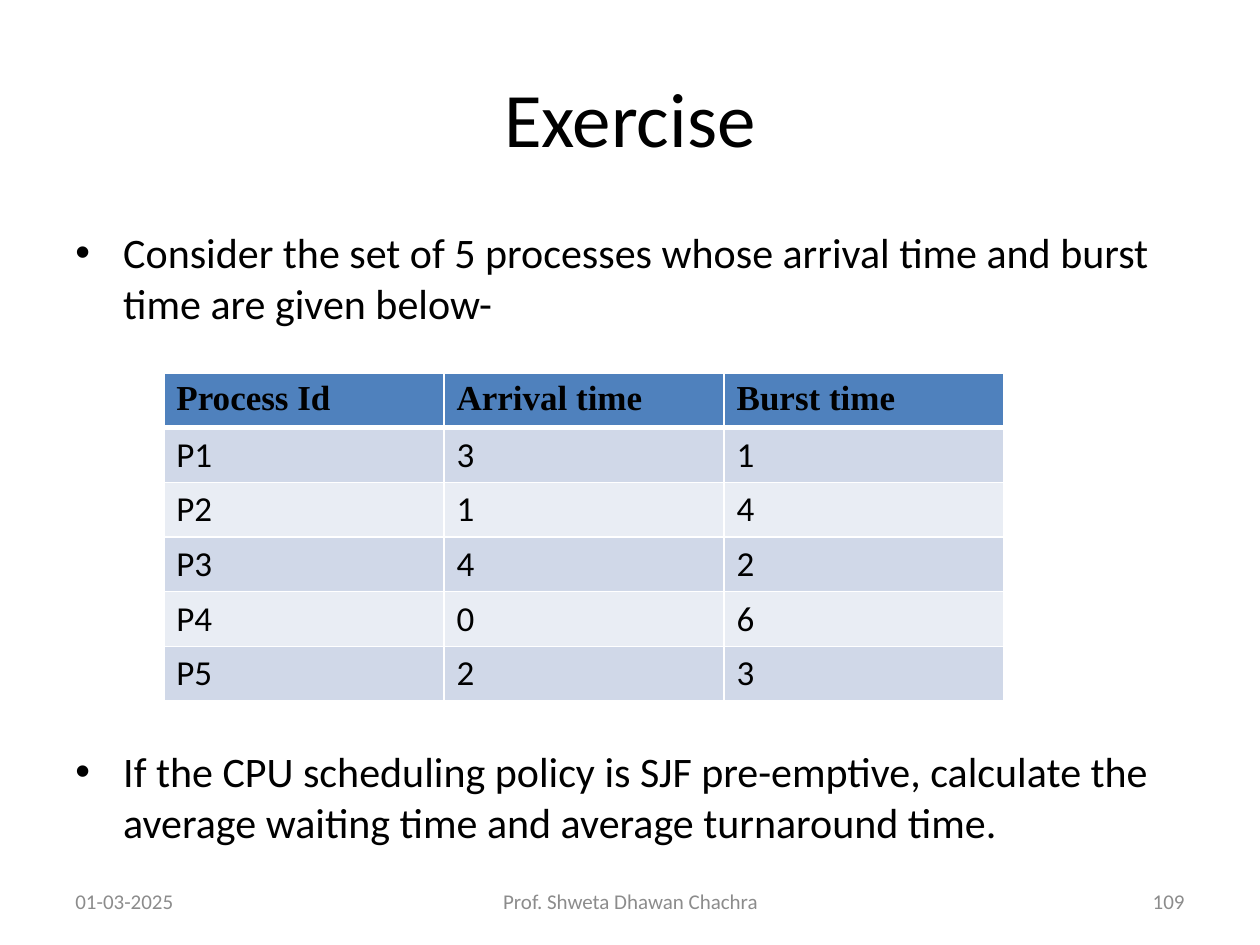
from lxml.etree import SubElement as Sub
from pptx import Presentation
from pptx.dml.color import RGBColor as Rgb
from pptx.enum.text import MSO_ANCHOR as Anchor, PP_ALIGN as Align
from pptx.oxml.ns import qn
from pptx.util import Inches, Pt

HEX = {"ink": "000000", "mute": "8C8C8C", "line": "FFFFFF",
       "head": "4F81BD", "odd": "D0D8E8", "even": "E9EDF4"}


def write(par, text, size, color="ink", face="Calibri", bold=False):
    run = par.add_run()
    run.text = text
    font = run.font
    font.size, font.name, font.bold = Pt(size), face, bold
    font.color.rgb = Rgb.from_string(HEX[color])


def edge(cell, side, width):
    line = Sub(cell._tc.get_or_add_tcPr(), qn(f"a:ln{side}"), w=str(Pt(width)))
    fill = Sub(line, qn("a:solidFill"))
    Sub(fill, qn("a:srgbClr"), val=HEX["line"])


prs = Presentation()
prs.slide_width, prs.slide_height = Inches(10), Inches(7.5)
wide, high = prs.slide_width, prs.slide_height
left, span = int(wide * 0.05), int(wide * 0.9)
slide = prs.slides.add_slide(prs.slide_layouts[5])

title = slide.shapes.title
title.left, title.top = left, int(high * 0.04)
title.width, title.height = span, Inches(1.25)
frame = title.text_frame
frame.vertical_anchor = Anchor.MIDDLE
frame.paragraphs[0].alignment = Align.CENTER
write(frame.paragraphs[0], "Exercise", 44)

body = slide.shapes.add_textbox(left, Inches(1.75), span, int(high * 0.66))
frame = body.text_frame
frame.word_wrap = True
tasks = [
    ("Consider the set of 5 processes whose arrival time and burst time are given below-", 0),
    ("If the CPU scheduling policy is SJF pre-emptive, calculate the average waiting time and average turnaround time.", 239),
]
for num, (text, gap) in enumerate(tasks):
    par = frame.add_paragraph() if num else frame.paragraphs[0]
    props = par._p.get_or_add_pPr()
    props.set("marL", str(Inches(0.38)))
    props.set("indent", str(-Inches(0.38)))
    Sub(props, qn("a:buFont"), typeface="Arial")
    Sub(props, qn("a:buChar"), char="•")
    par.space_before = Pt(gap)
    write(par, text, 24)

foot = [
    ("01-03-2025", 0.5, 2.33, Align.LEFT),
    ("Prof. Shweta Dhawan Chachra", 3.42, 3.17, Align.CENTER),
    ("109", 7.17, 2.33, Align.RIGHT),
]
for text, x, size, align in foot:
    box = slide.shapes.add_textbox(Inches(x), Inches(6.95), Inches(size), Inches(0.4))
    frame = box.text_frame
    frame.word_wrap = True
    frame.vertical_anchor = Anchor.MIDDLE
    frame.paragraphs[0].alignment = align
    write(frame.paragraphs[0], text, 12, "mute")

rows = [
    ("Process Id", "Arrival time", "Burst time"),
    ("P1", "3", "1"),
    ("P2", "1", "4"),
    ("P3", "4", "2"),
    ("P4", "0", "6"),
    ("P5", "2", "3"),
]
table = slide.shapes.add_table(len(rows), 3, Inches(1.3), Inches(2.96),
                               Inches(6.67), Inches(0.41 * len(rows))).table
for r, row in enumerate(rows):
    head = r == 0
    tint = "head" if head else "odd" if r % 2 else "even"
    for c, text in enumerate(row):
        cell = table.cell(r, c)
        for side in "LRTB":
            thick = (r, side) in [(0, "B"), (1, "T")]
            edge(cell, side, 3 if thick else 1)
        cell.fill.solid()
        cell.fill.fore_color.rgb = Rgb.from_string(HEX[tint])
        write(cell.text_frame.paragraphs[0], text, 20,
              face="Times New Roman" if head else "Calibri", bold=head)

prs.save("out.pptx")
